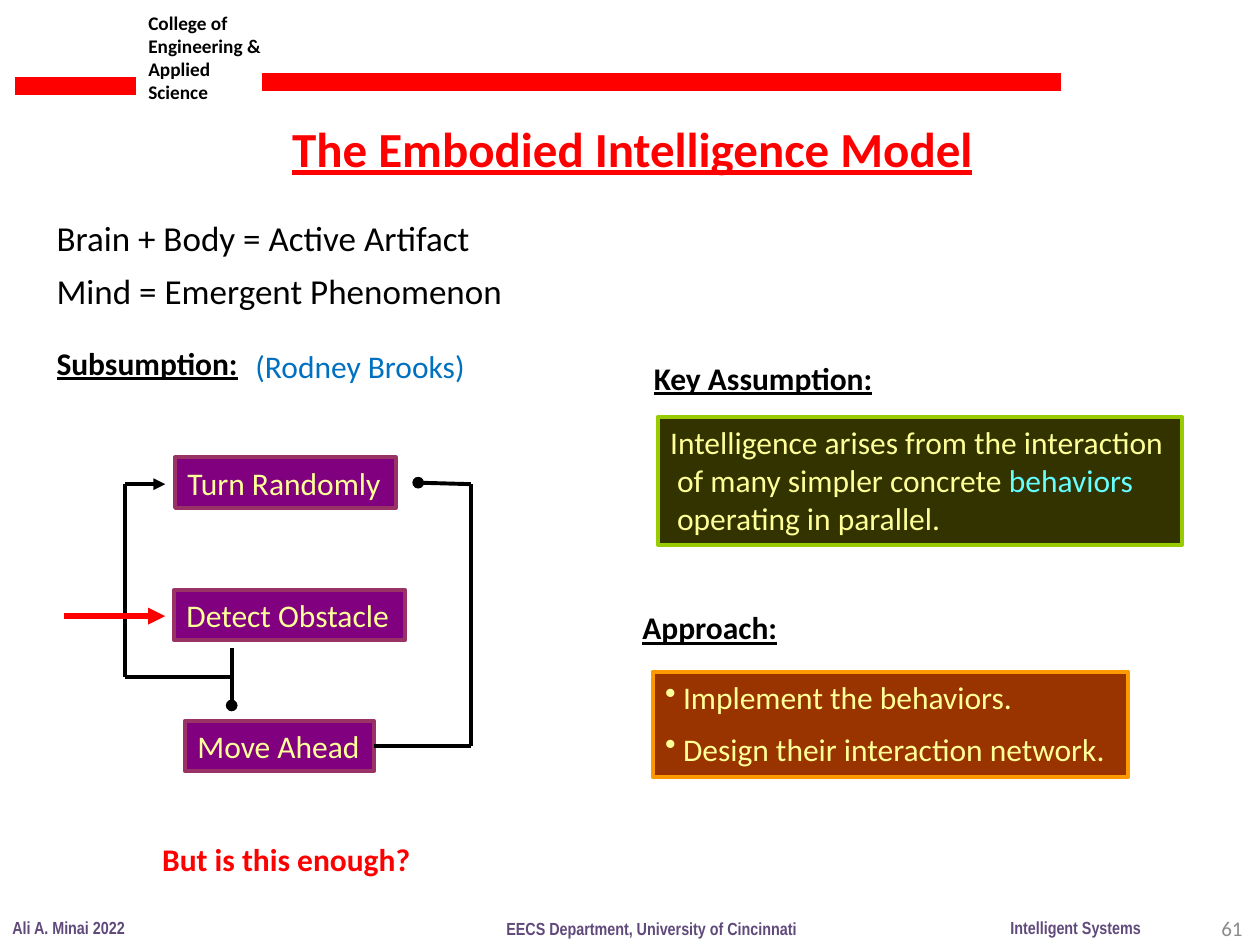
from lxml import etree
from pptx import Presentation
from pptx.dml.color import RGBColor
from pptx.enum.shapes import MSO_CONNECTOR, MSO_SHAPE
from pptx.enum.text import MSO_ANCHOR, MSO_AUTO_SIZE as AutoSize, PP_ALIGN
from pptx.oxml.ns import qn
from pptx.util import Cm, Pt

COLOURS = {
    "black": "000000", "red": "FF0000", "blue": "0070C0", "grey": "8C8C8C",
    "footer": "604A7B", "cream": "FFFF99", "cyan": "66FFFF",
    "olive": "333300", "lime": "99CC00", "rust": "993300", "orange": "FF9900",
    "purple": "800080", "plum": "993366",
}
LINE_HEIGHT = 1.02  # height of a one-line box, in cm


def colour(name):
    return RGBColor.from_string(COLOURS[name])


def add_span(para, text, tint, size, font="Calibri", bold=False, underline=False):
    span = para.add_run()
    span.text = text
    span.font.name = font
    span.font.size = Pt(size)
    span.font.bold = bold
    span.font.underline = underline
    span.font.color.rgb = colour(tint)


def fill_text(box, lines, tint="black", size=18, wrap=False, gap=0, **style):
    """Each line is a string or a list of (text, colour) pairs."""
    frame = box.text_frame
    frame.word_wrap = wrap
    frame.auto_size = AutoSize.SHAPE_TO_FIT_TEXT
    frame.vertical_anchor = MSO_ANCHOR.TOP
    for number, line in enumerate(lines):
        para = frame.add_paragraph() if number else frame.paragraphs[0]
        para.alignment = PP_ALIGN.LEFT
        if number and gap:
            para.space_before = Pt(gap)
        for text, shade in [(line, tint)] if isinstance(line, str) else line:
            add_span(para, text, shade, size, **style)
    return box


def add_label(page, left, top, width, height, lines, **style):
    box = page.shapes.add_textbox(Cm(left), Cm(top), Cm(width), Cm(height))
    return fill_text(box, lines, **style)


def add_panel(page, left, top, width, height, fill, edge, lines, **style):
    box = page.shapes.add_shape(
        MSO_SHAPE.RECTANGLE, Cm(left), Cm(top), Cm(width), Cm(height))
    box.shadow.inherit = False
    box.fill.solid()
    box.fill.fore_color.rgb = colour(fill)
    box.line.color.rgb = colour(edge)
    box.line.width = Pt(2.25)
    return fill_text(box, lines, tint="cream", **style)


def add_wire(page, start, end, tint="black", width=2.25, tip=None):
    ends = [Cm(value) for value in (*start, *end)]
    wire = page.shapes.add_connector(MSO_CONNECTOR.STRAIGHT, *ends)
    wire.line.color.rgb = colour(tint)
    wire.line.width = Pt(width)
    if tip:
        etree.SubElement(wire.line._get_or_add_ln(), qn("a:tailEnd"), type=tip)
    etree.SubElement(wire._element.spPr, qn("a:effectLst"))
    return wire


def indent(para, left, bullet=None):
    props = para._p.get_or_add_pPr()
    props.set("marL", str(Cm(left)))
    if bullet:
        props.set("indent", str(-Cm(left)))
        etree.SubElement(props, qn("a:buChar"), char=bullet)


def add_frame(page):
    # Header
    add_label(page, 2.74, 0.1, 2.77, 2.13,
              ["College of Engineering & Applied", "Science"],
              size=11, wrap=True, bold=True)
    add_wire(page, (0.3, 1.73), (2.74, 1.73), "red", 10)
    add_wire(page, (5.28, 1.65), (21.39, 1.65), "red", 10)

    # Footer
    for left, top, width, text in (
            (0, 18.36, 2.79, "Ali A. Minai 2022"),
            (20.12, 18.36, 3.15, "Intelligent Systems"),
            (9.96, 18.39, 6.4, "EECS Department, University of Cincinnati")):
        add_label(page, left, top, width, 0.69, [text],
                  tint="footer", size=10, font="Arial Narrow", bold=True)
    number = add_label(page, 19.38, 18.21, 5.92, 1.02, ["61"],
                       tint="grey", size=12, wrap=True)
    number.text_frame.auto_size = AutoSize.NONE
    number.text_frame.vertical_anchor = MSO_ANCHOR.MIDDLE
    number.text_frame.paragraphs[0].alignment = PP_ALIGN.RIGHT


def add_statements(page):
    # Title and opening lines
    add_label(page, 5.64, 2.26, 14.61, 1.45, ["The Embodied Intelligence Model"],
              tint="red", size=28, bold=True, underline=True)
    add_label(page, 0.89, 4.24, 9.58, 2.24,
              ["Brain + Body = Active Artifact", "Mind = Emergent Phenomenon"],
              size=20, gap=6)

    # Headings and remarks
    for left, top, width, text in ((0.89, 6.81, 4.32, "Subsumption:"),
                                   (12.93, 7.11, 5.23, "Key Assumption:"),
                                   (12.7, 12.14, 3.43, "Approach:")):
        add_label(page, left, top, width, LINE_HEIGHT, [text],
                  bold=True, underline=True)
    add_label(page, 4.9, 6.88, 4.9, LINE_HEIGHT, ["(Rodney Brooks)"], tint="blue")
    add_label(page, 3.02, 16.81, 5.56, LINE_HEIGHT, ["But is this enough?"],
              tint="red", bold=True)

    # Panels
    assumption = add_panel(
        page, 13.26, 8.41, 10.57, 2.57, "olive", "lime",
        ["Intelligence arises from the interaction",
         [("of many simpler concrete ", "cream"), ("behaviors", "cyan")],
         "operating in parallel."])
    for para in assumption.text_frame.paragraphs[1:]:
        indent(para, 0.14)
    approach = add_panel(
        page, 13.16, 13.54, 9.58, 2.13, "rust", "orange",
        ["Implement the behaviors.", "Design their interaction network."], gap=8)
    for para in approach.text_frame.paragraphs:
        indent(para, 0.36, "•")


def add_network(page):
    # Behaviors
    behaviors = {}
    for name, left, top, width in (("Move Ahead", 3.73, 14.53, 3.81),
                                   ("Turn Randomly", 3.53, 9.22, 4.45),
                                   ("Detect Obstacle", 3.51, 11.89, 4.65)):
        behaviors[name] = add_panel(page, left, top, width, LINE_HEIGHT,
                                    "purple", "plum", [name])

    # Detecting an obstacle stops the advance and starts a turn
    left_x, branch_x, right_x = 2.52, 4.67, 9.49
    branch_y, turn_y, move_y = 13.64, 9.76, 15.04
    add_wire(page, (branch_x, 13.06), (branch_x, 14.22), tip="oval")
    add_wire(page, (branch_x, branch_y), (left_x, branch_y))
    add_wire(page, (left_x, branch_y), (left_x, turn_y))
    add_wire(page, (left_x, turn_y), (3.33, turn_y), tip="triangle")

    # Moving ahead suppresses turning
    output = add_wire(page, (7.54, move_y), (right_x, move_y))
    output.begin_connect(behaviors["Move Ahead"], 3)
    add_wire(page, (right_x, move_y), (right_x, turn_y))
    add_wire(page, (right_x, turn_y), (8.43, 9.73), tip="oval")

    # Sensor input
    add_wire(page, (1.3, 12.42), (3.33, 12.42), "red", 3.25, "triangle")


def main():
    deck = Presentation()
    deck.slide_width, deck.slide_height = Cm(25.4), Cm(19.05)
    page = deck.slides.add_slide(deck.slide_layouts[6])
    add_frame(page)
    add_statements(page)
    add_network(page)
    deck.save("out.pptx")


if __name__ == "__main__":
    main()
